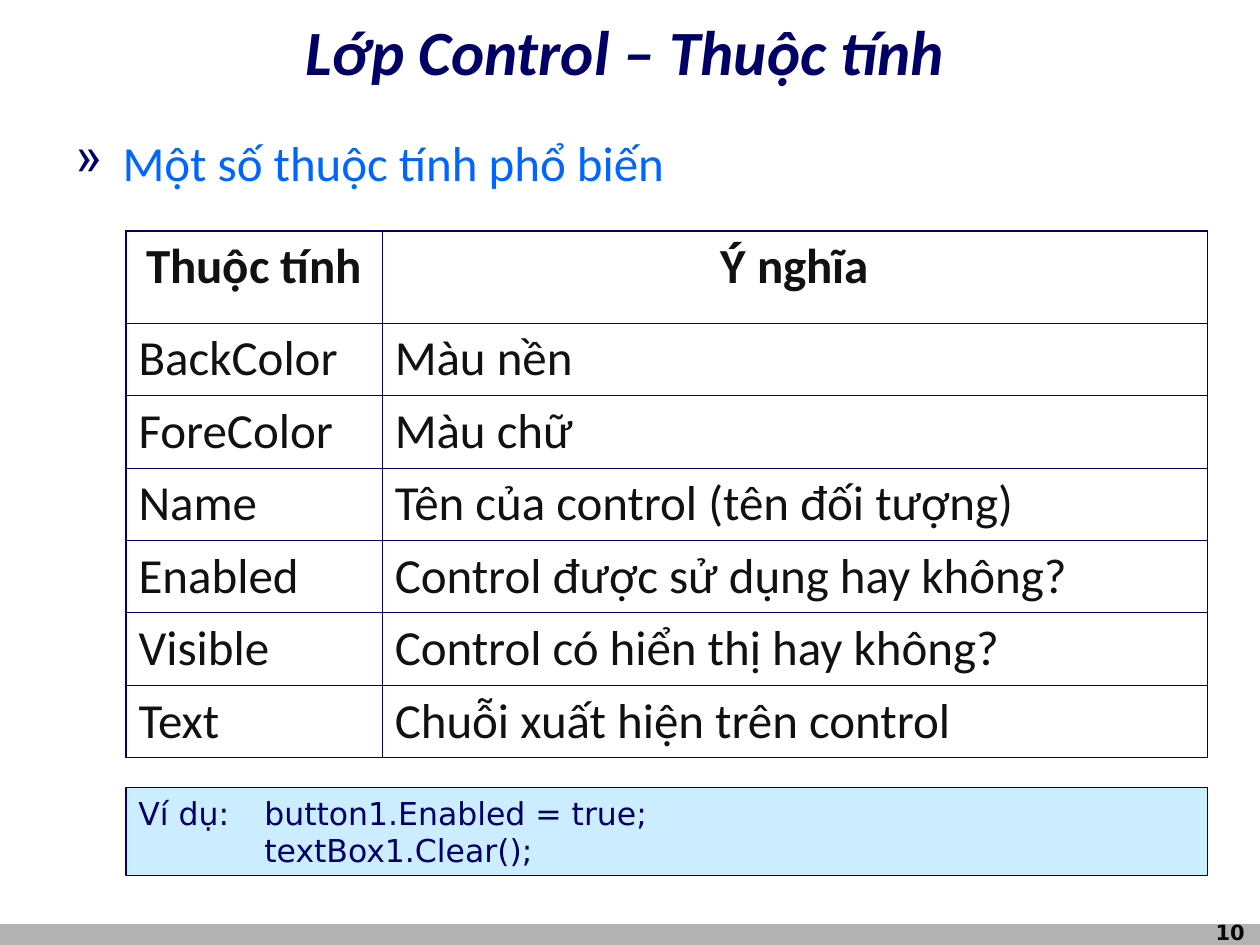
"""Build the slide on common Control properties."""
from lxml import etree
from pptx import Presentation
from pptx import util as u
from pptx.dml.color import RGBColor
from pptx.enum import shapes, text
from pptx.oxml import ns

NAVY = RGBColor(0x00, 0x00, 0x66)
BLUE = RGBColor(0x00, 0x66, 0xFF)
INK = RGBColor(0x11, 0x11, 0x11)
NUMBER_INK = RGBColor(0x08, 0x08, 0x08)
PALE_BLUE = RGBColor(0xCC, 0xEC, 0xFF)
GREY = RGBColor(0xB2, 0xB2, 0xB2)
LEFT, CENTER, JUSTIFY = (text.PP_ALIGN.LEFT, text.PP_ALIGN.CENTER,
                         text.PP_ALIGN.JUSTIFY)
TOP, MIDDLE = text.MSO_ANCHOR.TOP, text.MSO_ANCHOR.MIDDLE

TITLE = dict(name="Calibri", size=u.Pt(36), bold=True, italic=True)
BODY = dict(name="Calibri", size=u.Pt(28))
HEADER = dict(BODY, bold=True)
CODE = dict(name="DejaVu Sans", size=u.Pt(18))
NUMBER = dict(name="DejaVu Sans", size=u.Pt(12), bold=True)

PROPERTIES = [
    ("Thuộc tính", "Ý nghĩa"),
    ("BackColor", "Màu nền"),
    ("ForeColor", "Màu chữ"),
    ("Name", "Tên của control (tên đối tượng)"),
    ("Enabled", "Control được sử dụng hay không?"),
    ("Visible", "Control có hiển thị hay không?"),
    ("Text", "Chuỗi xuất hiện trên control"),
]


def add_element(parent, tag, **attributes):
    return etree.SubElement(parent, ns.qn(tag), attributes)


class SlideBuilder:
    """Hold the line style and the current slide."""

    def __init__(self, slide, line_color=NAVY, outer=1.08, inner=0.45):
        self.slide = slide
        self.line_color = line_color
        self.outer = outer
        self.inner = inner

    def fill_text(self, frame, lines, style, color, align, bullet=None, tab=None):
        frame.word_wrap = True
        for index, line in enumerate(lines):
            paragraph = frame.paragraphs[0] if index == 0 else frame.add_paragraph()
            paragraph.alignment = align
            properties = paragraph._p.get_or_add_pPr()
            if bullet:
                properties.set("marL", str(u.Pt(27)))
                properties.set("indent", str(u.Pt(-27)))
                bullet_color = add_element(properties, "a:buClr")
                add_element(bullet_color, "a:srgbClr", val=str(NAVY))
                add_element(properties, "a:buChar", char=bullet)
            if tab:
                tabs = add_element(properties, "a:tabLst")
                add_element(tabs, "a:tab", pos=str(u.Pt(tab)), algn="l")
            run = paragraph.add_run()
            run.text = line
            for name, value in style.items():
                setattr(run.font, name, value)
            run.font.color.rgb = color

    def text_box(self, box, line, style, color, align, anchor=TOP, bullet=None):
        shape = self.slide.shapes.add_textbox(*map(u.Pt, box))
        shape.text_frame.vertical_anchor = anchor
        self.fill_text(shape.text_frame, [line], style, color, align, bullet)

    def rectangle(self, box, fill, line_width=None):
        shape = self.slide.shapes.add_shape(
            shapes.MSO_SHAPE.RECTANGLE, *map(u.Pt, box))
        shape.shadow.inherit = False
        shape.fill.solid()
        shape.fill.fore_color.rgb = fill
        if line_width:
            shape.line.color.rgb = self.line_color
            shape.line.width = u.Pt(line_width)
        else:
            shape.line.fill.background()
        return shape

    def code_box(self, box, lines, tab):
        frame = self.rectangle(box, PALE_BLUE, 0.75).text_frame
        frame.vertical_anchor = TOP
        self.fill_text(frame, lines, CODE, NAVY, LEFT, tab=tab)

    def borders(self, cell, outer_sides):
        properties = cell._tc.get_or_add_tcPr()
        for index, side in enumerate("LRTB"):
            width = self.outer if outer_sides[side] else self.inner
            line = add_element(properties, f"a:ln{side}", w=str(u.Pt(width)))
            fill = add_element(line, "a:solidFill")
            add_element(fill, "a:srgbClr", val=str(self.line_color))
            properties.insert(index, line)

    def table(self, left, top, widths, heights, rows):
        frame = self.slide.shapes.add_table(
            len(heights), len(widths), u.Pt(left), u.Pt(top),
            u.Pt(sum(widths)), u.Pt(sum(heights)))
        table = frame.table
        table.first_row = table.horz_banding = False
        for column, width in zip(table.columns, widths):
            column.width = u.Pt(width)
        for row, height in zip(table.rows, heights):
            row.height = u.Pt(height)
        for i, row in enumerate(rows):
            style, align = (HEADER, CENTER) if i == 0 else (BODY, JUSTIFY)
            for j, value in enumerate(row):
                cell = table.cell(i, j)
                cell.fill.background()
                self.fill_text(cell.text_frame, [value], style, INK, align)
                self.borders(cell, dict(L=j == 0, R=j == len(row) - 1,
                                        T=i == 0, B=i == len(rows) - 1))


def main():
    presentation = Presentation()
    presentation.slide_width, presentation.slide_height = u.Pt(720), u.Pt(540)
    builder = SlideBuilder(
        presentation.slides.add_slide(presentation.slide_layouts[6]))
    builder.rectangle((0, 528, 720, 12), GREY)
    builder.text_box((679, 522, 48, 21), "10", NUMBER, NUMBER_INK, CENTER)
    builder.text_box((66, 6, 582, 45), "Lớp Control – Thuộc tính",
                     TITLE, NAVY, CENTER, MIDDLE)
    builder.text_box((36, 72, 648, 48), "Một số thuộc tính phổ biến",
                     BODY, BLUE, JUSTIFY, bullet="»")
    builder.table(72, 132, [146.4, 471.6], [52.6] + [41.4] * 6, PROPERTIES)
    builder.code_box((72, 450, 618, 50.5),
                     ["Ví dụ:\tbutton1.Enabled = true;", "\ttextBox1.Clear();"],
                     tab=72)
    presentation.save("out.pptx")


if __name__ == "__main__":
    main()
